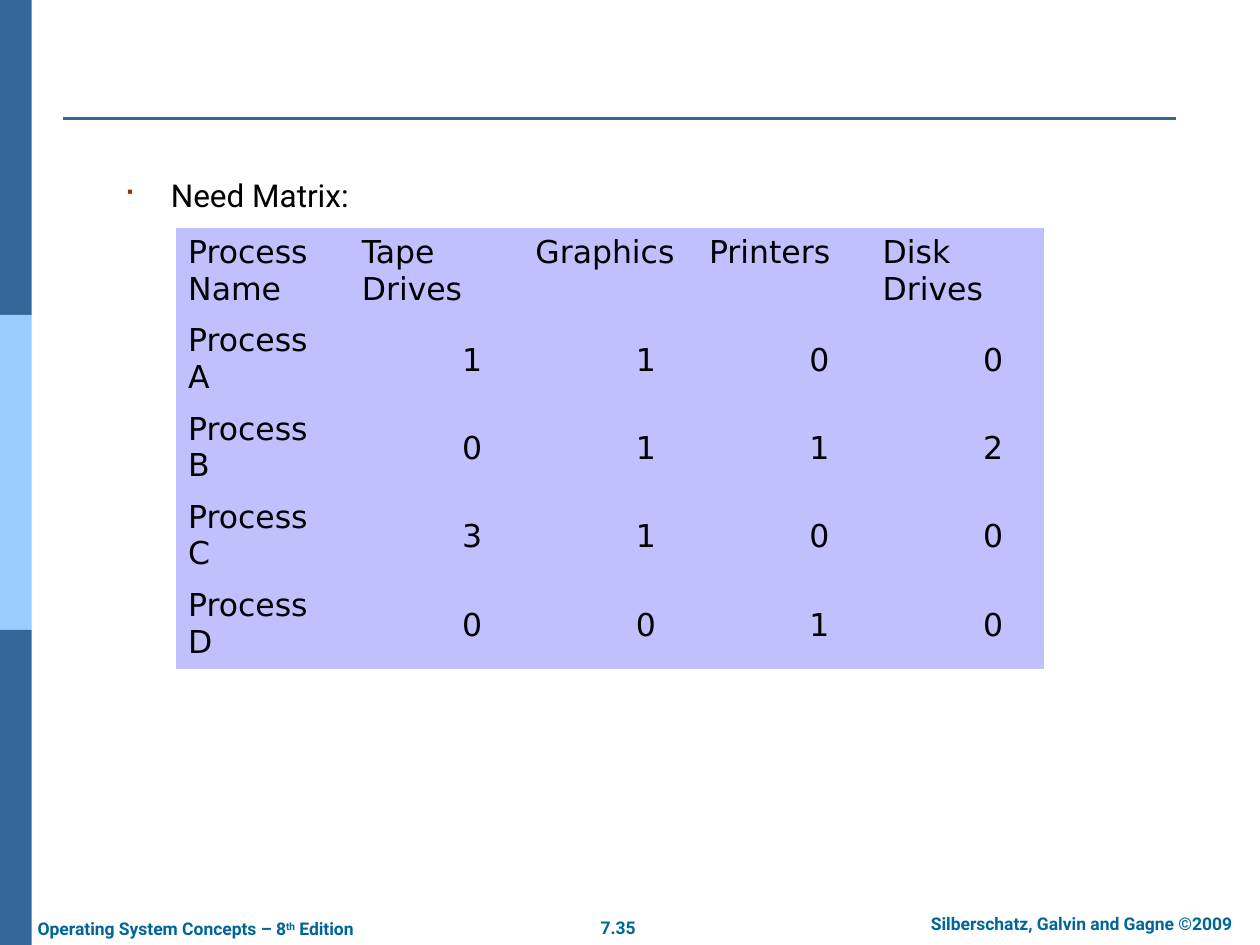
from lxml import etree
from pptx import Presentation
from pptx.dml.color import RGBColor
from pptx.enum.shapes import MSO_CONNECTOR, MSO_SHAPE
from pptx.enum.text import MSO_ANCHOR, PP_ALIGN
from pptx.oxml.ns import qn
from pptx.util import Cm, Pt

LEFT, CENTER, RIGHT = PP_ALIGN.LEFT, PP_ALIGN.CENTER, PP_ALIGN.RIGHT
MIDDLE = MSO_ANCHOR.MIDDLE
RECTANGLE, STRAIGHT = MSO_SHAPE.RECTANGLE, MSO_CONNECTOR.STRAIGHT

# Content
HEADING = "Need Matrix:"
NEED_MATRIX = [
    ("Process Name", "Tape Drives", "Graphics", "Printers", "Disk Drives"),
    ("Process A", 1, 1, 0, 0),
    ("Process B", 0, 1, 1, 2),
    ("Process C", 3, 1, 0, 0),
    ("Process D", 0, 0, 1, 0),
]
# Footers: left, top, width, wrap, alignment, runs of (text, superscript)
FOOTERS = [
    (11.84, 18.36, 1.24, False, CENTER, [("7.35", False)]),
    (18.03, 18.29, 7.54, True, CENTER,
     [("Silberschatz, Galvin and Gagne ©2009", False)]),
    (0.51, 18.39, 7.32, False, LEFT,
     [("Operating System Concepts – 8", False), ("th", True),
      (" Edition", False)]),
]
SIDE_BANDS = ["336699", "99CCFF", "336699"]

# Formats
BODY_FONT = {"name": "Roboto", "size": Pt(18)}
TABLE_FONT = {"name": "DejaVu Sans", "size": Pt(18), "bold": False}
FOOTER_FONT = {"name": "Roboto", "size": Pt(10), "bold": True}

# Sizes in centimetres
SLIDE_WIDTH, SLIDE_HEIGHT = 25.4, 19.05
BAND_WIDTH, BAND_HEIGHT = 0.64, SLIDE_HEIGHT / len(SIDE_BANDS)
COLUMN_WIDTH, ROW_HEIGHT = 3.5, 1.73


def color(hex_value):
    return RGBColor.from_string(hex_value)


def set_font(font, values, hex_value):
    for name, value in values.items():
        setattr(font, name, value)
    font.color.rgb = color(hex_value)


def add_bullet(paragraph, character, hex_value):
    properties = paragraph._p.get_or_add_pPr()
    properties.set("marL", str(Cm(0.95)))
    properties.set("indent", str(-Cm(0.95)))
    bullet_color = etree.SubElement(properties, qn("a:buClr"))
    etree.SubElement(bullet_color, qn("a:srgbClr"), val=hex_value)
    etree.SubElement(properties, qn("a:buSzPct"), val="90000")
    etree.SubElement(properties, qn("a:buFont"), typeface="Wingdings")
    etree.SubElement(properties, qn("a:buChar"), char=character)


presentation = Presentation()
presentation.slide_width = Cm(SLIDE_WIDTH)
presentation.slide_height = Cm(SLIDE_HEIGHT)
slide = presentation.slides.add_slide(presentation.slide_layouts[1])
shapes = slide.shapes
title = shapes.title._element
title.getparent().remove(title)

# Side bands
for index, fill in enumerate(SIDE_BANDS):
    band = shapes.add_shape(RECTANGLE, 0, Cm(index * BAND_HEIGHT),
                            Cm(BAND_WIDTH), Cm(BAND_HEIGHT))
    band.shadow.inherit = False
    band.fill.solid()
    band.fill.fore_color.rgb = color(fill)
    band.line.fill.background()

# Rule under the title area
rule = shapes.add_connector(STRAIGHT, Cm(1.27), Cm(2.39), Cm(23.7), Cm(2.39))
rule.line.color.rgb = color("336699")
rule.line.width = Pt(1.5)
etree.SubElement(rule._element.spPr, qn("a:effectLst"))

# Footers
for left, top, width, wrap, alignment, runs in FOOTERS:
    box = shapes.add_textbox(Cm(left), Cm(top), Cm(width), Cm(0.69))
    box.text_frame.word_wrap = wrap
    paragraph = box.text_frame.paragraphs[0]
    paragraph.alignment = alignment
    for text, superscript in runs:
        run = paragraph.add_run()
        run.text = text
        set_font(run.font, FOOTER_FONT, "006699")
        if superscript:
            run.font._element.set("baseline", "30000")

# Bulleted heading
body = slide.placeholders[1]
body.left, body.top, body.width, body.height = (
    Cm(2.24), Cm(3.43), Cm(22.86), Cm(12.57))
paragraph = body.text_frame.paragraphs[0]
paragraph.space_before = Pt(0)
add_bullet(paragraph, "■", "993300")
run = paragraph.add_run()
run.text = HEADING
set_font(run.font, BODY_FONT, "000000")

# Need matrix
row_count, column_count = len(NEED_MATRIX), len(NEED_MATRIX[0])
table = shapes.add_table(row_count, column_count, Cm(3.54), Cm(4.6),
                         Cm(column_count * COLUMN_WIDTH),
                         Cm(row_count * ROW_HEIGHT)).table
table.first_row = table.horz_banding = False
# Plain style without grid lines
table._tbl.tblPr.find(qn("a:tableStyleId")).text = (
    "{2D5ABB26-0587-4C30-8999-92F81FD0307C}")
for column in table.columns:
    column.width = Cm(COLUMN_WIDTH)
for row, values in zip(table.rows, NEED_MATRIX):
    row.height = Cm(ROW_HEIGHT)
    for cell, value in zip(row.cells, values):
        cell.fill.solid()
        cell.fill.fore_color.rgb = color("C0C0FF")
        paragraph = cell.text_frame.paragraphs[0]
        if isinstance(value, int):
            cell.vertical_anchor = MIDDLE
            cell.margin_right = Cm(0.82)
            paragraph.alignment = RIGHT
        run = paragraph.add_run()
        run.text = str(value)
        set_font(run.font, TABLE_FONT, "000000")

presentation.save("out.pptx")
